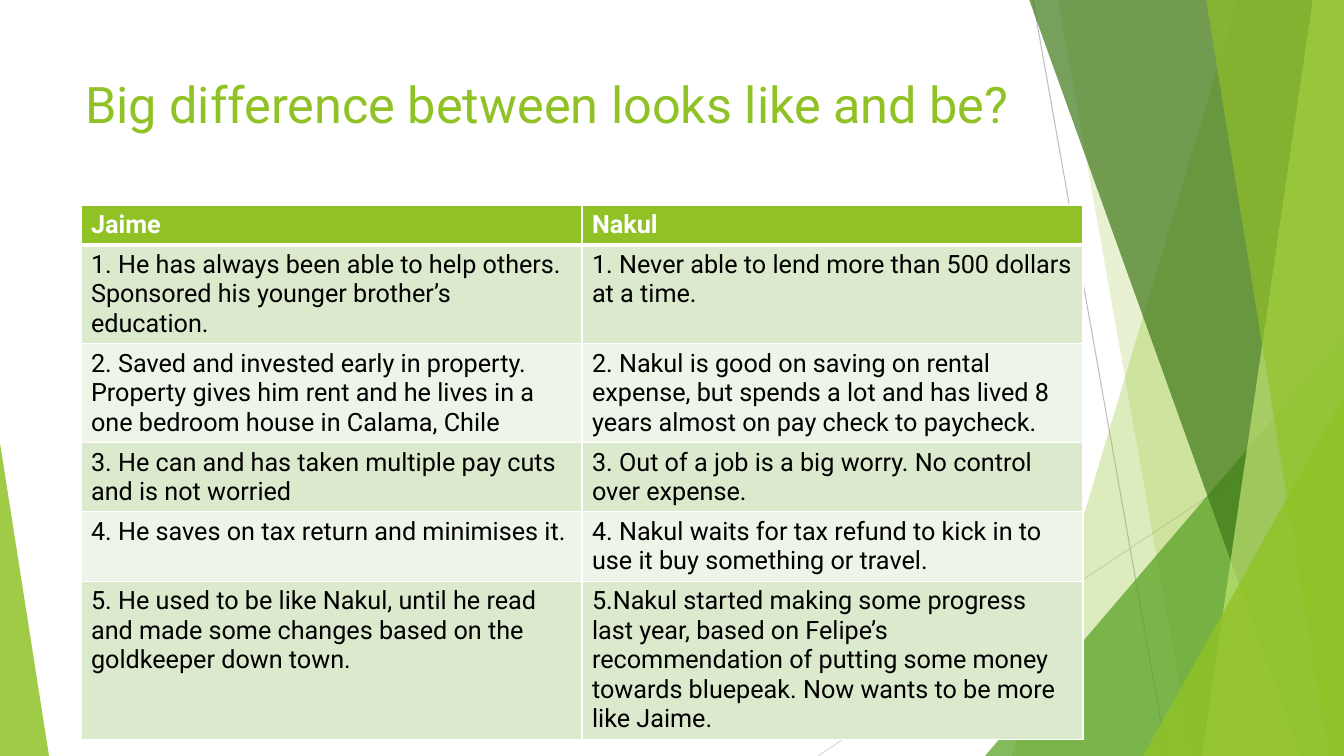
from dataclasses import dataclass
from lxml import etree
from pptx import Presentation
from pptx.dml.color import RGBColor
from pptx.enum.shapes import MSO_CONNECTOR, MSO_SHAPE
from pptx.enum.text import MSO_ANCHOR, MSO_AUTO_SIZE, PP_ALIGN
from pptx.oxml.ns import qn
from pptx.util import Emu, Pt

LINE = MSO_CONNECTOR.STRAIGHT
TRI = MSO_SHAPE.ISOSCELES_TRIANGLE
TOP = MSO_ANCHOR.TOP
LEFT = PP_ALIGN.LEFT
FIXED = MSO_AUTO_SIZE.NONE


@dataclass(frozen=True)
class Theme:
    font: str = "Roboto"
    lime: str = "90C226"
    green: str = "54A021"
    dark: str = "3F7819"
    pale: str = "C0E474"
    band: str = "DBE9CD"
    light: str = "EEF4E8"
    white: str = "FFFFFF"
    black: str = "000000"
    gray: str = "BFBFBF"
    mist: str = "D9D9D9"
    head: int = 36
    body: int = 18
    hair: float = 0.75


THEME = Theme()
PX = 914400 / 100.8
WIDE, HIGH = 1344, 756

TITLE = "Big difference between looks like and be?"
TITLE_BOX = (75, 68, 948, 145)
ROWS = [
    ("Jaime", "Nakul"),
    ("1. He has always been able to help others. Sponsored his younger brother’s education.",
     "1. Never able to lend more than 500 dollars at a time."),
    ("2. Saved and invested early in property. Property gives him rent and he lives in a one bedroom house in Calama, Chile",
     "2. Nakul is good on saving on rental expense, but spends a lot and has lived 8 years almost on pay check to paycheck."),
    ("3. He can and has taken multiple pay cuts and is not worried",
     "3. Out of a job is a big worry. No control over expense."),
    ("4. He saves on tax return and minimises it.",
     "4. Nakul waits for tax refund to kick in to use it buy something or travel."),
    ("5. He used to be like Nakul, until he read and made some changes based on the goldkeeper down town.",
     "5.Nakul started making some progress last year, based on Felipe’s recommendation of putting some money towards bluepeak. Now wants to be more like Jaime."),
]
GRID_AT = (81, 205)
COL = 501
TALL = [39, 99, 99, 69, 69, 158]

RAYS = [((1033, 0, 1167, HIGH), THEME.gray), ((WIDE, 406, 818, HIGH), THEME.mist)]
DECOR = [
    ("blade", (1238, 1012), THEME.lime, 30),
    ("blade", (1058, 1192), THEME.lime, 20),
    ("wedge", (985, 336, 359, 420, 1), THEME.green, 72),
    ("blade", (1029, 1301), THEME.dark, 70),
    ("blade", (1313, 1202), THEME.pale, 70),
    ("blade", (1206, 1329), THEME.lime, 65),
    ("wedge", (1143, 396, 201, 360, 1), THEME.lime, 80),
    ("wedge", (0, 443, 49, 313, 0), THEME.lime, 85),
]


def px(*sizes):
    return [Emu(round(size * PX)) for size in sizes]


def rgb(tone):
    return RGBColor.from_string(tone)


def style(para, size, tone, bold=False):
    para.font.name = THEME.font
    para.font.size = Pt(size)
    para.font.bold = bold
    para.font.color.rgb = rgb(tone)


def add_ray(slide, ends, tone):
    ray = slide.shapes.add_connector(LINE, *px(*ends))
    ray.line.color.rgb = rgb(tone)
    ray.line.width = Pt(THEME.hair)
    etree.SubElement(ray.element.spPr, qn("a:effectLst"))


def add_blade(slide, top, base):
    pen = slide.shapes.build_freeform(top, -1, PX)
    pen.add_line_segments([(WIDE, -1), (WIDE, HIGH), (base, HIGH)], close=True)
    return pen.convert_to_shape()


def add_wedge(slide, left, top, wide, high, tip):
    wedge = slide.shapes.add_shape(TRI, *px(left, top, wide, high))
    wedge.adjustments[0] = tip
    return wedge


def paint(shape, tone, alpha):
    shape.shadow.inherit = False
    shape.fill.solid()
    shape.fill.fore_color.rgb = rgb(tone)
    shape.line.fill.background()
    color = shape.element.spPr.find(qn("a:solidFill"))[0]
    etree.SubElement(color, qn("a:alpha"), val=str(alpha * 1000))


def edge(cell, base):
    props = cell._tc.get_or_add_tcPr()
    for side, width in (("L", 1), ("R", 1), ("T", 1), ("B", base)):
        line = etree.SubElement(props, qn("a:ln" + side), w=str(Pt(width)))
        fill = etree.SubElement(line, qn("a:solidFill"))
        etree.SubElement(fill, qn("a:srgbClr"), val=THEME.white)


def add_title(slide):
    title = slide.shapes.title
    title.left, title.top, title.width, title.height = px(*TITLE_BOX)
    frame = title.text_frame
    frame.text = TITLE
    frame.auto_size = FIXED
    frame.word_wrap = True
    frame.vertical_anchor = TOP
    para = frame.paragraphs[0]
    para.alignment = LEFT
    style(para, THEME.head, THEME.lime)


def add_grid(slide):
    cols = len(ROWS[0])
    box = px(*GRID_AT, COL * cols, sum(TALL))
    grid = slide.shapes.add_table(len(ROWS), cols, *box).table
    for col in grid.columns:
        col.width = px(COL)[0]
    for i, (texts, tall) in enumerate(zip(ROWS, TALL)):
        grid.rows[i].height = px(tall)[0]
        head = i == 0
        tone = THEME.lime if head else THEME.band if i % 2 else THEME.light
        for j, text in enumerate(texts):
            cell = grid.cell(i, j)
            cell.text = text
            edge(cell, 3 if head else 1)
            cell.fill.solid()
            cell.fill.fore_color.rgb = rgb(tone)
            ink = THEME.white if head else THEME.black
            style(cell.text_frame.paragraphs[0], THEME.body, ink, head)


def main():
    deck = Presentation()
    deck.slide_width, deck.slide_height = px(WIDE, HIGH)
    slide = deck.slides.add_slide(deck.slide_layouts[5])
    for ends, tone in RAYS:
        add_ray(slide, ends, tone)
    makers = {"blade": add_blade, "wedge": add_wedge}
    for kind, place, tone, alpha in DECOR:
        paint(makers[kind](slide, *place), tone, alpha)
    add_title(slide)
    add_grid(slide)
    deck.save("out.pptx")


if __name__ == "__main__":
    main()
